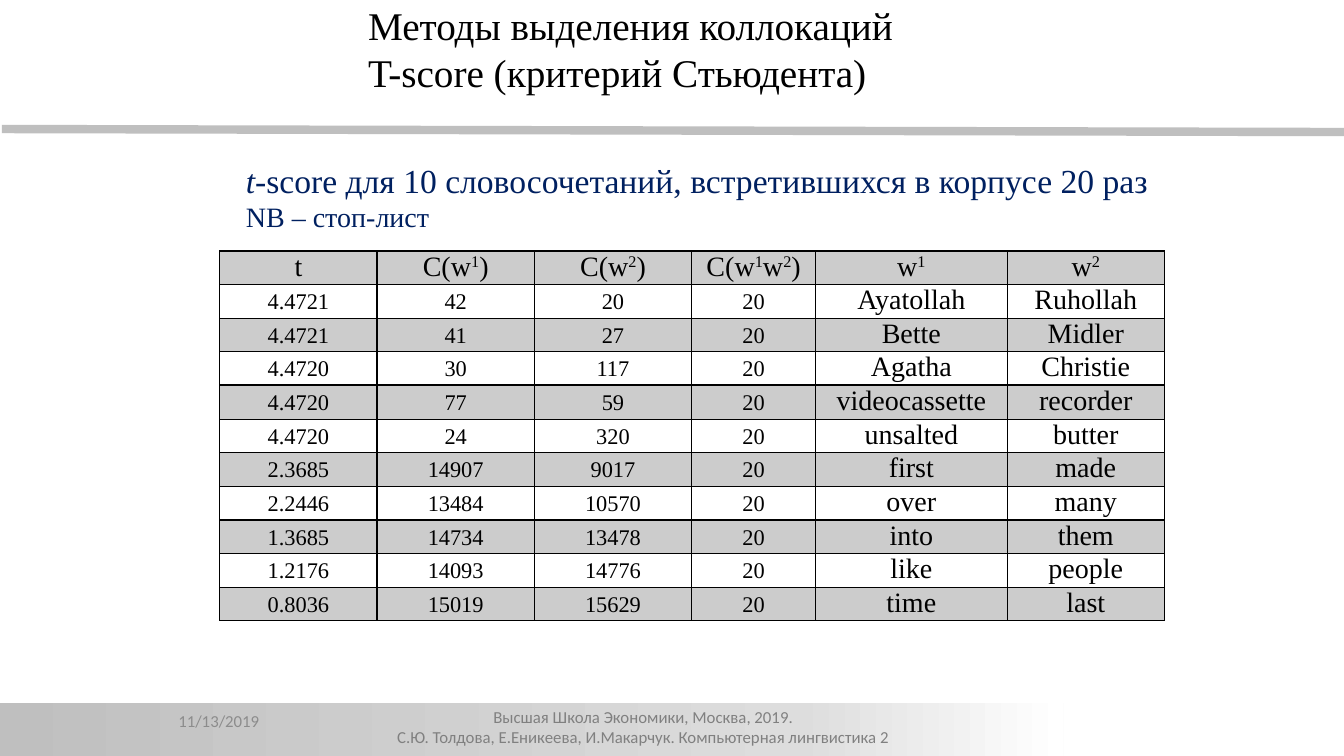
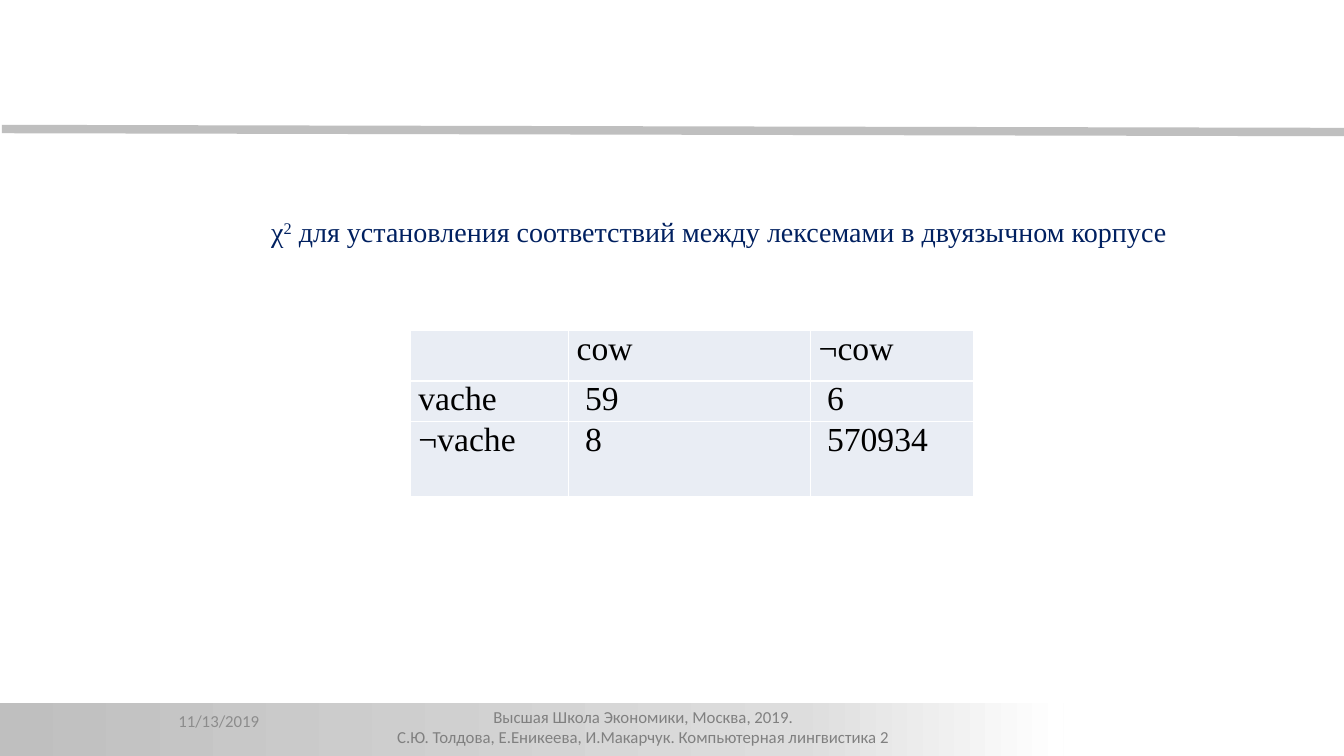
import copy
from dataclasses import dataclass
from typing import Any, Optional

import pptx
import pptx.dml.color
import pptx.enum.shapes
import pptx.enum.text
import pptx.oxml
import pptx.oxml.ns
import pptx.util

EMU_PER_PX = 9144  # 100 px to the inch
SLIDE_SIZE = (1333, 750)
ALIGN = pptx.enum.text.PP_ALIGN
ANCHOR = pptx.enum.text.MSO_ANCHOR
qn = pptx.oxml.ns.qn


@dataclass(frozen=True)
class Box:
    left: int
    top: int
    width: int
    height: int

    def emu(self) -> tuple:
        return tuple(px(v) for v in (self.left, self.top, self.width, self.height))


@dataclass(frozen=True)
class TextStyle:
    font: str
    size: int
    colour: str
    align: Any = ALIGN.LEFT
    small_caps: bool = False


@dataclass(frozen=True)
class Fill:
    colour: str
    opacity: int = 100


@dataclass(frozen=True)
class Grid:
    left: int
    top: int
    columns: list[int]
    rows: list[int]
    border: str
    side_margin: int


SERIF, SANS = "Times New Roman", "Calibri"
TITLE = TextStyle(SERIF, 28, "000000")
CAPTION = TextStyle(SERIF, 24, "002060")
SUBCAPTION = TextStyle(SERIF, 20, "002060")
FOOTER = TextStyle(SANS, 12, "808080", ALIGN.CENTER)
DATE = TextStyle(SANS, 12, "8C8C8C")
WORD_CELL = TextStyle(SERIF, 20, "000000", ALIGN.CENTER)
NUMBER_CELL = TextStyle(SERIF, 20, "000000", ALIGN.CENTER, small_caps=True)
COW_CELL = TextStyle(SERIF, 24, "000000")
RULE_COLOUR = "BFBFBF"
BAND_STOPS = [(0, "BFBFBF"), (0.75, "DDDDDD"), (1, "FFFFFF")]

FOOTER_LINES = [
    "Высшая Школа Экономики, Москва, 2019.",
    "С.Ю. Толдова, Е.Еникеева, И.Макарчук. Компьютерная лингвистика 2",
]

# In cell and line texts, ^ encloses superscripts and * encloses italics.
T_SCORES = [
    ["t", "C(w^1^)", "C(w^2^)", "C(w^1^w^2^)", "w^1^", "w^2^"],
    ["4.4721", "42", "20", "20", "Ayatollah", "Ruhollah"],
    ["4.4721", "41", "27", "20", "Bette", "Midler"],
    ["4.4720", "30", "117", "20", "Agatha", "Christie"],
    ["4.4720", "77", "59", "20", "videocassette", "recorder"],
    ["4.4720", "24", "320", "20", "unsalted", "butter"],
    ["2.3685", "14907", "9017", "20", "first", "made"],
    ["2.2446", "13484", "10570", "20", "over", "many"],
    ["1.3685", "14734", "13478", "20", "into", "them"],
    ["1.2176", "14093", "14776", "20", "like", "people"],
    ["0.8036", "15019", "15629", "20", "time", "last"],
]
COW_COUNTS = [
    ["", "cow", "¬cow"],
    ["vache", " 59", " 6"],
    ["¬vache", " 8", " 570934"],
]


# Helpers
def px(value: int) -> int:
    return value * EMU_PER_PX


def rgb(colour: str) -> pptx.dml.color.RGBColor:
    return pptx.dml.color.RGBColor.from_string(colour)


def set_format(target: Any, formats: dict) -> None:
    for attribute, value in formats.items():
        setattr(target, attribute, value)


def split_evenly(total: int, count: int) -> list[int]:
    edges = [round(total * i / count) for i in range(count + 1)]
    return [end - start for start, end in zip(edges, edges[1:])]


def write_line(paragraph: Any, text: str, style: TextStyle) -> None:
    paragraph.alignment = style.align
    for i, part in enumerate(text.split("*")):
        for j, piece in enumerate(part.split("^")):
            if not piece:
                continue
            run = paragraph.add_run()
            run.text = piece
            set_format(run.font, {
                "name": style.font,
                "size": pptx.util.Pt(style.size),
                "italic": i % 2 == 1,
                "bold": False,
            })
            run.font.color.rgb = rgb(style.colour)
            properties = run._r.get_or_add_rPr()
            if j % 2:
                properties.set("baseline", "30000")
            if style.small_caps:
                properties.set("cap", "small")


def write_lines(shape: Any, lines: list[tuple[str, TextStyle]], anchor: Any) -> None:
    frame = shape.text_frame
    set_format(frame, {
        "word_wrap": True,
        "auto_size": pptx.enum.text.MSO_AUTO_SIZE.NONE,
        "vertical_anchor": anchor,
    })
    for i, (text, style) in enumerate(lines):
        paragraph = frame.add_paragraph() if i else frame.paragraphs[0]
        write_line(paragraph, text, style)


def add_text(slide: Any, box: Box, lines: list[tuple[str, TextStyle]],
             anchor: Any = ANCHOR.MIDDLE) -> Any:
    shape = slide.shapes.add_textbox(*box.emu())
    write_lines(shape, lines, anchor)
    return shape


def set_title(slide: Any, box: Box, lines: list[tuple[str, TextStyle]],
              anchor: Any) -> None:
    title = slide.shapes.title
    set_format(title, dict(zip(("left", "top", "width", "height"), box.emu())))
    write_lines(title, lines, anchor)


# Tables
def set_cell_look(cell: Any, fill: Optional[Fill], border: str) -> None:
    if fill:
        cell.fill.solid()
        cell.fill.fore_color.rgb = rgb(fill.colour)
    else:
        cell.fill.background()
    properties = cell._tc.get_or_add_tcPr()
    if fill and fill.opacity < 100:
        colour = properties.find(".//" + qn("a:srgbClr"))
        alpha = colour.makeelement(qn("a:alpha"), {"val": str(fill.opacity * 1000)})
        colour.append(alpha)
    for i, side in enumerate("LRTB"):
        properties.insert(i, pptx.oxml.parse_xml(
            f'<a:ln{side} {pptx.oxml.ns.nsdecls("a")} w="12700"><a:solidFill>'
            f'<a:srgbClr val="{border}"/></a:solidFill></a:ln{side}>'))


def add_grid(slide: Any, grid: Grid, texts: list[list[str]],
             styles: list[list[TextStyle]], fills: list[Optional[Fill]]) -> None:
    box = Box(grid.left, grid.top, sum(grid.columns), sum(grid.rows))
    table = slide.shapes.add_table(len(grid.rows), len(grid.columns), *box.emu()).table
    set_format(table, {"first_row": False, "horz_banding": False})
    for column, width in zip(table.columns, grid.columns):
        column.width = px(width)
    for r, height in enumerate(grid.rows):
        table.rows[r].height = px(height)
        for c, text in enumerate(texts[r]):
            cell = table.cell(r, c)
            set_format(cell, {
                "margin_left": px(grid.side_margin),
                "margin_right": px(grid.side_margin),
                "margin_top": 0,
                "margin_bottom": 0,
            })
            write_line(cell.text_frame.paragraphs[0], text, styles[r][c])
            set_cell_look(cell, fills[r], grid.border)


# Shared parts
def decorate_layout(slide: Any) -> None:
    """Draw the rule, band and footer, and hand them to the slide's layout."""
    rule = slide.shapes.add_connector(
        pptx.enum.shapes.MSO_CONNECTOR.STRAIGHT, px(2), px(128), px(1333), px(131))
    rule.line.color.rgb = rgb(RULE_COLOUR)
    rule.line.width = pptx.util.Pt(6)
    properties = rule.element.spPr
    properties.append(properties.makeelement(qn("a:effectLst"), {}))

    band = slide.shapes.add_shape(
        pptx.enum.shapes.MSO_SHAPE.RECTANGLE, *Box(0, 697, 1055, 53).emu())
    band.shadow.inherit = False
    band.line.fill.background()
    band.fill.gradient()
    band.fill.gradient_angle = 0
    stop_list = band.element.find(".//" + qn("a:gsLst"))
    stop_list.append(copy.deepcopy(stop_list[0]))
    for stop, (position, colour) in zip(band.fill.gradient_stops, BAND_STOPS):
        stop.position = position
        stop.color.rgb = rgb(colour)

    footer = add_text(slide, Box(254, 696, 768, 45),
                      [(line, FOOTER) for line in FOOTER_LINES], ANCHOR.TOP)
    for part in (rule, band, footer):
        slide.slide_layout.shapes.element.append(part.element)


def start_slide(deck: Any) -> Any:
    slide = deck.slides.add_slide(deck.slide_layouts[5])
    add_text(slide, Box(167, 695, 233, 40), [("11/13/2019", DATE)])
    return slide


# Slides
def build_t_score(slide: Any) -> None:
    set_title(slide, Box(355, -4, 588, 104), [
        ("Методы выделения коллокаций", TITLE),
        ("T-score (критерий Стьюдента)", TITLE),
    ], ANCHOR.TOP)
    add_text(slide, Box(234, 153, 937, 84), [
        ("*t*-score для 10 словосочетаний, встретившихся в корпусе 20 раз", CAPTION),
        ("NB – стоп-лист", SUBCAPTION),
    ])
    count = len(T_SCORES)
    grid = Grid(218, 249, [156, 156, 156, 123, 190, 156],
                split_evenly(367, count), "000000", 7)
    header = [WORD_CELL] * 6
    body = [NUMBER_CELL] * 4 + [WORD_CELL] * 2
    shade = Fill("000000", 20)
    add_grid(slide, grid, T_SCORES, [header] + [body] * (count - 1),
             [None if r % 2 else shade for r in range(count)])


def build_chi_square(slide: Any) -> None:
    set_title(slide, Box(259, 207, 950, 45), [
        ("χ^2^ для установления соответствий между лексемами в двуязычном корпусе",
         SUBCAPTION),
    ], ANCHOR.MIDDLE)
    grid = Grid(407, 328, [157, 240, 162], [50, 40, 75], "FFFFFF", 8)
    add_grid(slide, grid, COW_COUNTS, [[COW_CELL] * 3] * 3, [Fill("E9EDF4")] * 3)


def main() -> None:
    deck = pptx.Presentation()
    deck.slide_width, deck.slide_height = (px(side) for side in SLIDE_SIZE)
    t_score = start_slide(deck)
    decorate_layout(t_score)
    build_t_score(t_score)
    build_chi_square(start_slide(deck))
    deck.save("out.pptx")


if __name__ == "__main__":
    main()
